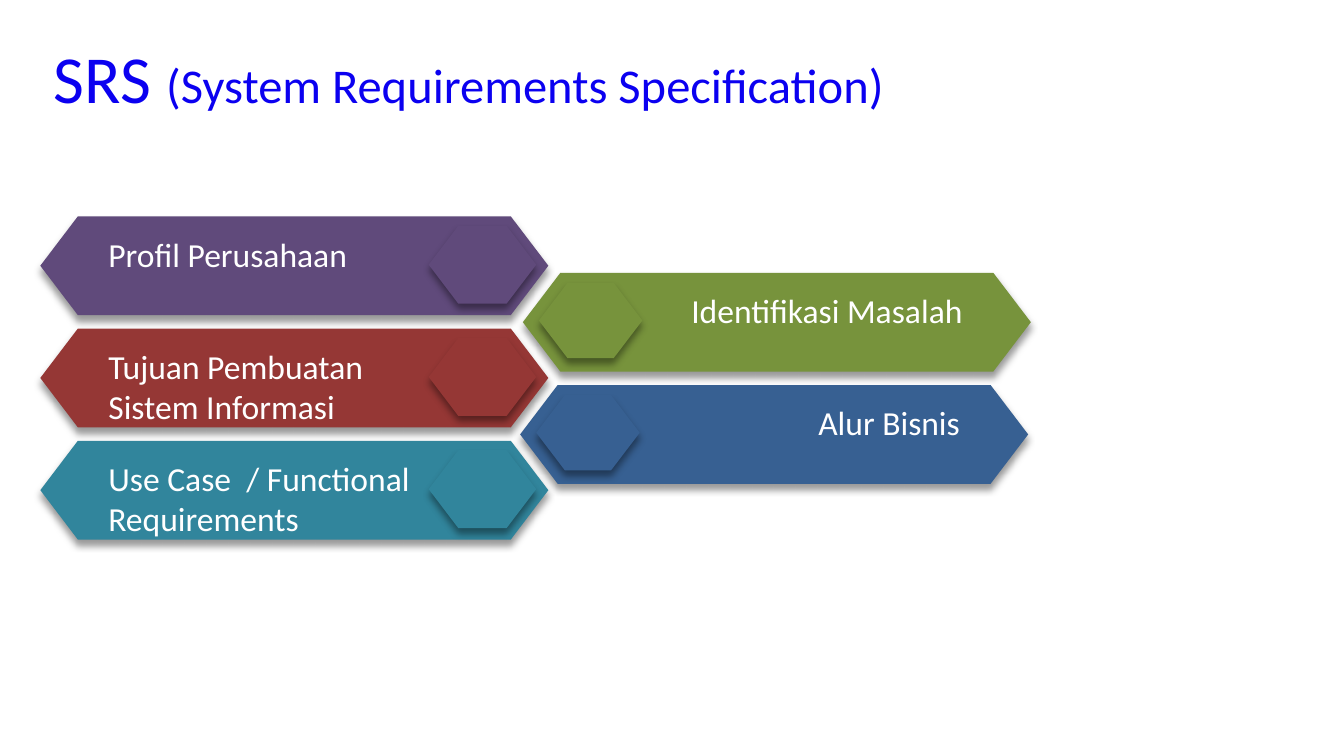
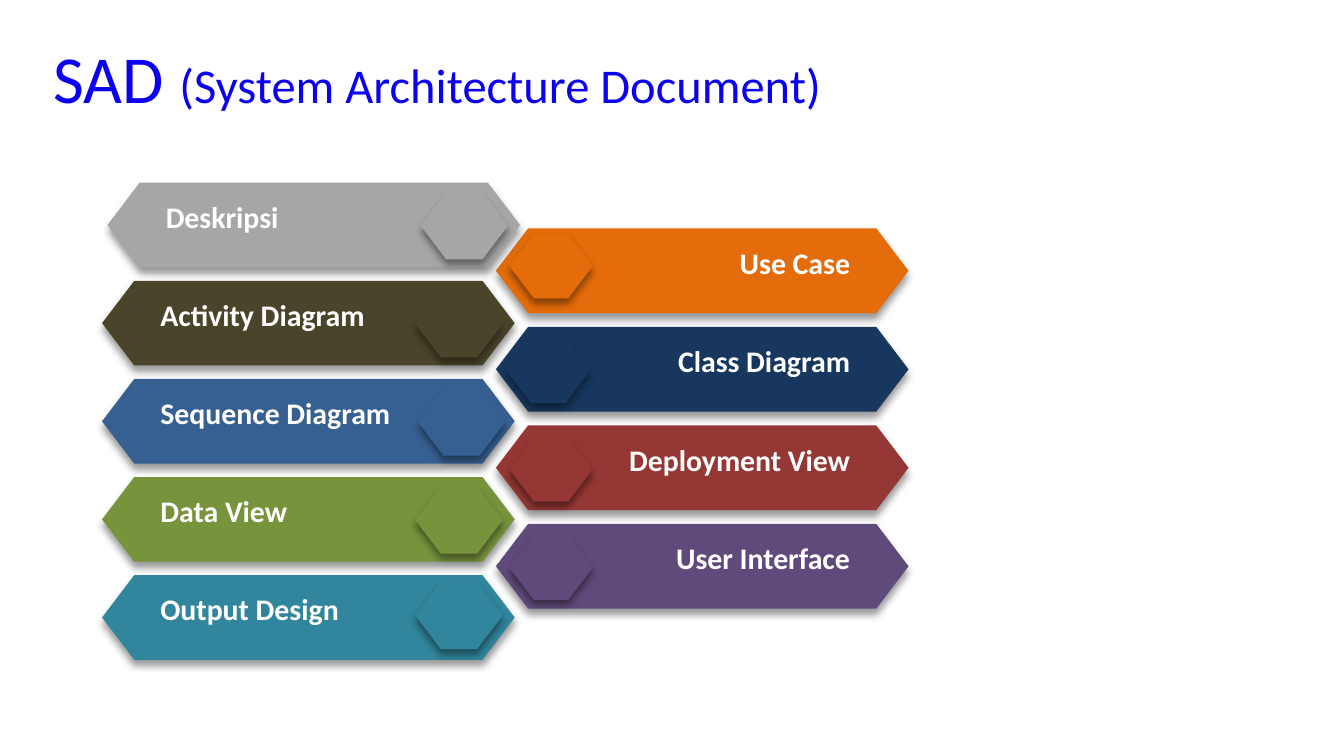
from dataclasses import dataclass

from lxml import etree
from pptx import Presentation
from pptx.dml.color import RGBColor
from pptx.enum.shapes import MSO_SHAPE
from pptx.enum.text import MSO_ANCHOR, PP_ALIGN
from pptx.oxml.ns import qn
from pptx.util import Inches, Pt

HEXAGON = MSO_SHAPE.HEXAGON
LEFT, RIGHT = PP_ALIGN.LEFT, PP_ALIGN.RIGHT
TOP, MIDDLE = MSO_ANCHOR.TOP, MSO_ANCHOR.MIDDLE
SLIDE_COLUMNS, SLIDE_ROWS = 100, 56.25
BLANK_LAYOUT = 6


@dataclass(frozen=True)
class Theme:
    font: str = "Calibri"
    title: str = "0B00F0"
    label: str = "FFFFFF"
    purple: str = "604A7B"
    red: str = "953735"
    teal: str = "31859C"
    green: str = "77933C"
    blue: str = "376092"
    navy: str = "17375E"
    orange: str = "E46C0A"
    olive: str = "4A452A"
    gray: str = "A6A6A6"
    shadow: str = "000000"
    acronym_size: int = 36
    expansion_size: int = 26
    topic_size: int = 18
    section_size: int = 16
    hexagon_point: float = 0.38


THEME = Theme()


@dataclass(frozen=True)
class Topic:
    label: str
    color: str
    shift: float = 0
    badge_shift: float = 0
    badge_drop: float = 0


@dataclass(frozen=True)
class Stack:
    left: float
    top: float
    pitch: float
    bar: tuple
    badge: tuple
    badge_offset: tuple
    align: PP_ALIGN
    size: int
    bold: bool = False


def cells(count):
    return Inches(count / 10)


def write_text(frame, paragraphs, *, color, align=LEFT, anchor=TOP, bold=False):
    frame.word_wrap = True
    frame.vertical_anchor = anchor
    for index, runs in enumerate(paragraphs):
        paragraph = frame.paragraphs[0] if index == 0 else frame.add_paragraph()
        paragraph.alignment = align
        for text, size in runs:
            run = paragraph.add_run()
            run.text = text
            run.font.name = THEME.font
            run.font.size = Pt(size)
            run.font.bold = bold
            run.font.color.rgb = RGBColor.from_string(color)


def add_title(slide, acronym, expansion):
    title = slide.shapes.add_textbox(cells(3), cells(1.5), cells(88.5), cells(8.4))
    runs = [(f"{acronym} ", THEME.acronym_size),
            (f"({expansion})", THEME.expansion_size)]
    write_text(title.text_frame, [runs], color=THEME.title, anchor=MIDDLE)


def cast_shadow(shape):
    shape.shadow.inherit = False
    effects = shape._element.spPr.find(qn("a:effectLst"))
    shadow = etree.SubElement(effects, qn("a:outerShdw"), blurRad=str(Pt(4)),
                              dist=str(Pt(3)), dir=str(90 * 60000), rotWithShape="0")
    color = etree.SubElement(shadow, qn("a:srgbClr"), val=THEME.shadow)
    etree.SubElement(color, qn("a:alpha"), val="40000")


def add_hexagon(slide, left, top, size, color):
    hexagon = slide.shapes.add_shape(HEXAGON, cells(left), cells(top), *map(cells, size))
    hexagon.adjustments[0] = THEME.hexagon_point
    hexagon.fill.solid()
    hexagon.fill.fore_color.rgb = RGBColor.from_string(color)
    hexagon.line.fill.background()
    cast_shadow(hexagon)
    return hexagon


def add_stack(slide, stack, topics):
    for row, topic in enumerate(topics):
        left = stack.left + topic.shift
        top = stack.top + row * stack.pitch
        bar = add_hexagon(slide, left, top, stack.bar, topic.color)
        lines = [[(line, stack.size)] for line in topic.label.split("\n")]
        write_text(bar.text_frame, lines, color=THEME.label,
                   align=stack.align, bold=stack.bold)
        across, down = stack.badge_offset
        add_hexagon(slide, left + across + topic.badge_shift,
                    top + down + topic.badge_drop, stack.badge, topic.color)


def add_topic_slide(presentation, acronym, expansion, *columns):
    slide = presentation.slides.add_slide(presentation.slide_layouts[BLANK_LAYOUT])
    add_title(slide, acronym, expansion)
    for stack, topics in columns:
        add_stack(slide, stack, topics)


def main():
    presentation = Presentation()
    presentation.slide_width = cells(SLIDE_COLUMNS)
    presentation.slide_height = cells(SLIDE_ROWS)

    topic_bar, section_bar = (37.8, 7.35), (30.7, 6.3)
    add_topic_slide(
        presentation, "SRS", "System Requirements Specification",
        (Stack(38.9, 20.3, 8.35, topic_bar, (7.7, 5.6), (1.2, 0.75),
               RIGHT, THEME.topic_size),
         [Topic("Identifikasi Masalah", THEME.green),
          Topic("Alur Bisnis", THEME.blue, shift=-0.2)]),
        (Stack(3, 16.1, 8.35, topic_bar, (8, 5.8), (28.9, 0.7),
               LEFT, THEME.topic_size),
         [Topic("Profil Perusahaan", THEME.purple),
          Topic("Tujuan Pembuatan\nSistem Informasi", THEME.red),
          Topic("Use Case  / Functional Requirements", THEME.teal)]),
    )
    add_topic_slide(
        presentation, "SAD", "System Architecture Document",
        (Stack(36.9, 17, 7.33, section_bar, (6.2, 4.8), (1, 0.85),
               RIGHT, THEME.section_size, bold=True),
         [Topic("Use Case", THEME.orange, badge_drop=-0.45),
          Topic("Class Diagram", THEME.navy, badge_shift=-0.2),
          Topic("Deployment View", THEME.red),
          Topic("User Interface", THEME.purple)]),
        (Stack(7.6, 13.6, 7.3, section_bar, (6.5, 5), (23.3, 0.7),
               LEFT, THEME.section_size, bold=True),
         [Topic("Deskripsi", THEME.gray, shift=0.4),
          Topic("Activity Diagram", THEME.olive),
          Topic("Sequence Diagram", THEME.blue, badge_shift=0.2),
          Topic("Data View", THEME.green),
          Topic("Output Design", THEME.teal, badge_drop=-0.2)]),
    )
    presentation.save("out.pptx")


if __name__ == "__main__":
    main()
